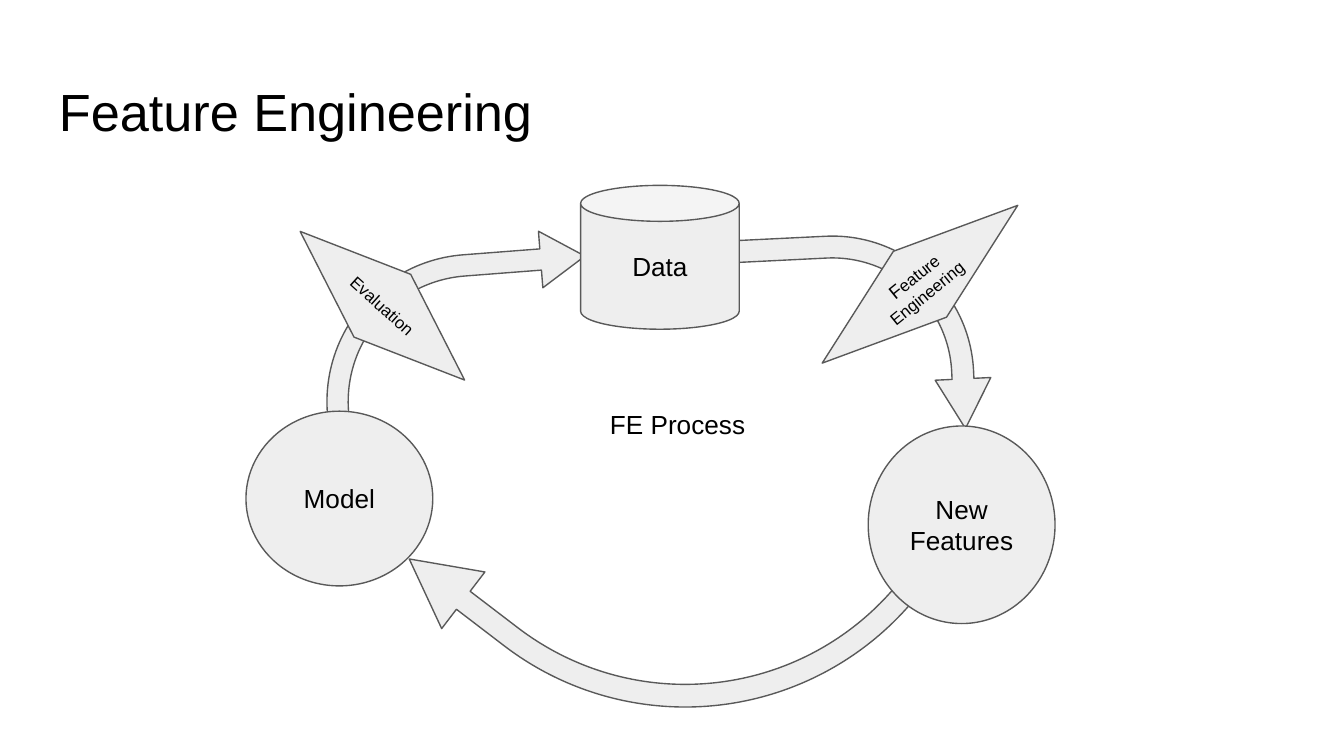
from pptx import Presentation
from pptx.dml.color import RGBColor
from pptx.enum.shapes import MSO_SHAPE as Shape
from pptx.enum.text import MSO_ANCHOR as Anchor, PP_ALIGN as Align
from pptx.util import Inches, Pt

SLIDE_WIDTH = 10
SLIDE_HEIGHT = SLIDE_WIDTH * 9 / 16
FONT = "Arial"
BLACK, FILL, OUTLINE = "000000", "EEEEEE", "595959"

ARROWS = [
    ((5.68, 1.55, 1.48, 1.87), 87.2, (0.11, 0.14, 0.25, 0.71)),
    ((3.29, 3.17, 3.17, 2.41), 217.4, (0.07, 0.11, 0.21, 0.92)),
    ((2.39, 1.77, 2, 1.32), 355.6, (0.12, 0.16, 0.25, 0.83)),
]
STEPS = [
    (Shape.CAN, (4.32, 1.38, 1.18, 1.07), 0, [("Data", 14)]),
    (Shape.OVAL, (6.46, 3.17, 1.39, 1.47), 0, [("New Features", 14)]),
    (Shape.OVAL, (1.83, 3.06, 1.39, 1.3), 0, [("Model", 14)]),
    (Shape.FLOWCHART_DECISION, (5.91, 1.8, 1.87, 0.63), 321.1,
     [("F", 10), ("eature Engineering", 9)]),
    (Shape.FLOWCHART_DECISION, (2.02, 1.96, 1.65, 0.63), 42.1, [("Evaluation", 9)]),
]
TITLE = ((0.34, 0.49, 9.32, 0.63), [("Feature Engineering", 28)])
CAPTION = ((4.44, 2.94, 1.27, 0.63), [("FE Process", 14)])


def color(value):
    return RGBColor.from_string(value)


def write(shape, runs, align, anchor):
    frame = shape.text_frame
    frame.word_wrap = True
    frame.vertical_anchor = anchor
    frame.margin_left = frame.margin_right = Inches(0.1)
    frame.margin_top = frame.margin_bottom = Inches(0.1)
    paragraph = frame.paragraphs[0]
    paragraph.alignment = align
    for text, size in runs:
        run = paragraph.add_run()
        run.text = text
        run.font.name = FONT
        run.font.size = Pt(size)
        run.font.color.rgb = color(BLACK)


def add_text(slide, box, runs):
    shape = slide.shapes.add_textbox(*map(Inches, box))
    write(shape, runs, Align.LEFT, Anchor.TOP)


def add_figure(slide, kind, box, rotation):
    shape = slide.shapes.add_shape(kind, *map(Inches, box))
    shape.rotation = rotation
    shape.shadow.inherit = False
    shape.fill.solid()
    shape.fill.fore_color.rgb = color(FILL)
    shape.line.color.rgb = color(OUTLINE)
    shape.line.width = Pt(0.75)
    return shape


presentation = Presentation()
presentation.slide_width = Inches(SLIDE_WIDTH)
presentation.slide_height = Inches(SLIDE_HEIGHT)
slide = presentation.slides.add_slide(presentation.slide_layouts[6])

add_text(slide, *TITLE)
for box, rotation, adjustments in ARROWS:
    arrow = add_figure(slide, Shape.BENT_ARROW, box, rotation)
    for index, value in enumerate(adjustments):
        arrow.adjustments[index] = value
for kind, box, rotation, runs in STEPS:
    step = add_figure(slide, kind, box, rotation)
    write(step, runs, Align.CENTER, Anchor.MIDDLE)
add_text(slide, *CAPTION)

presentation.save("out.pptx")
